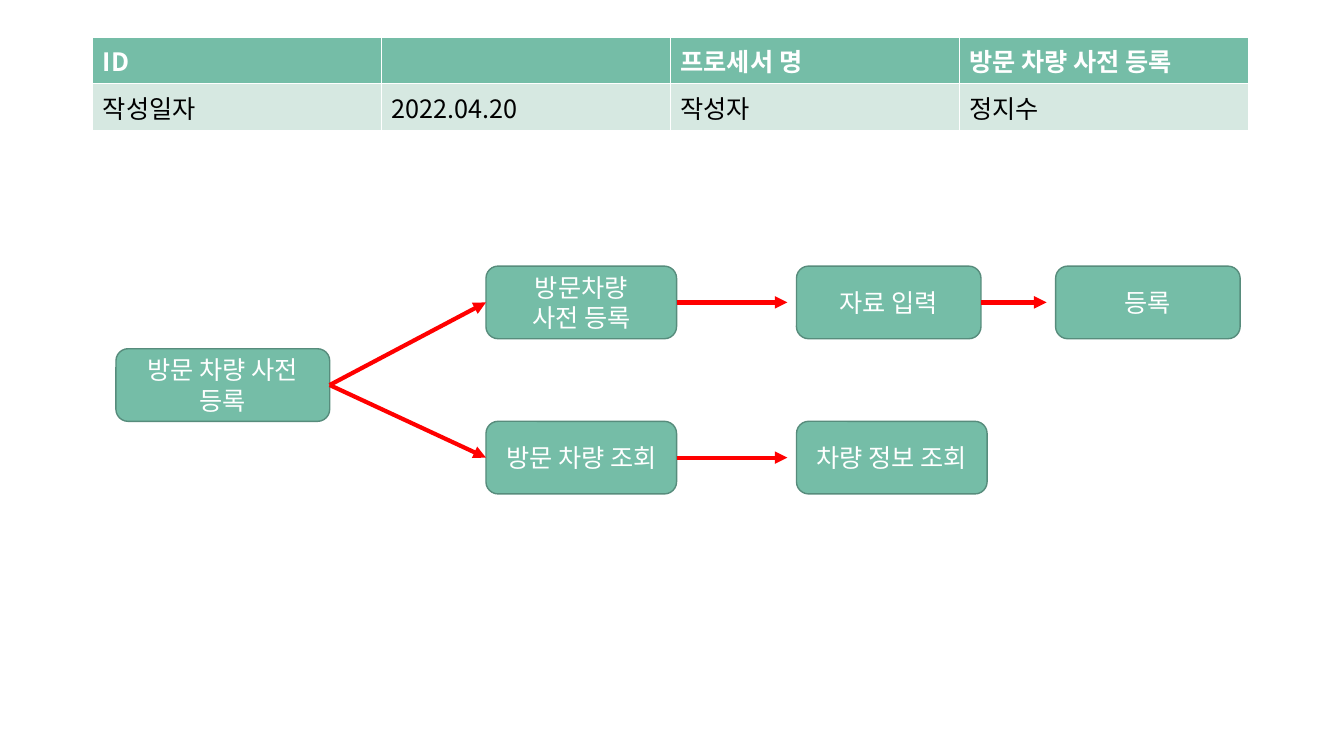
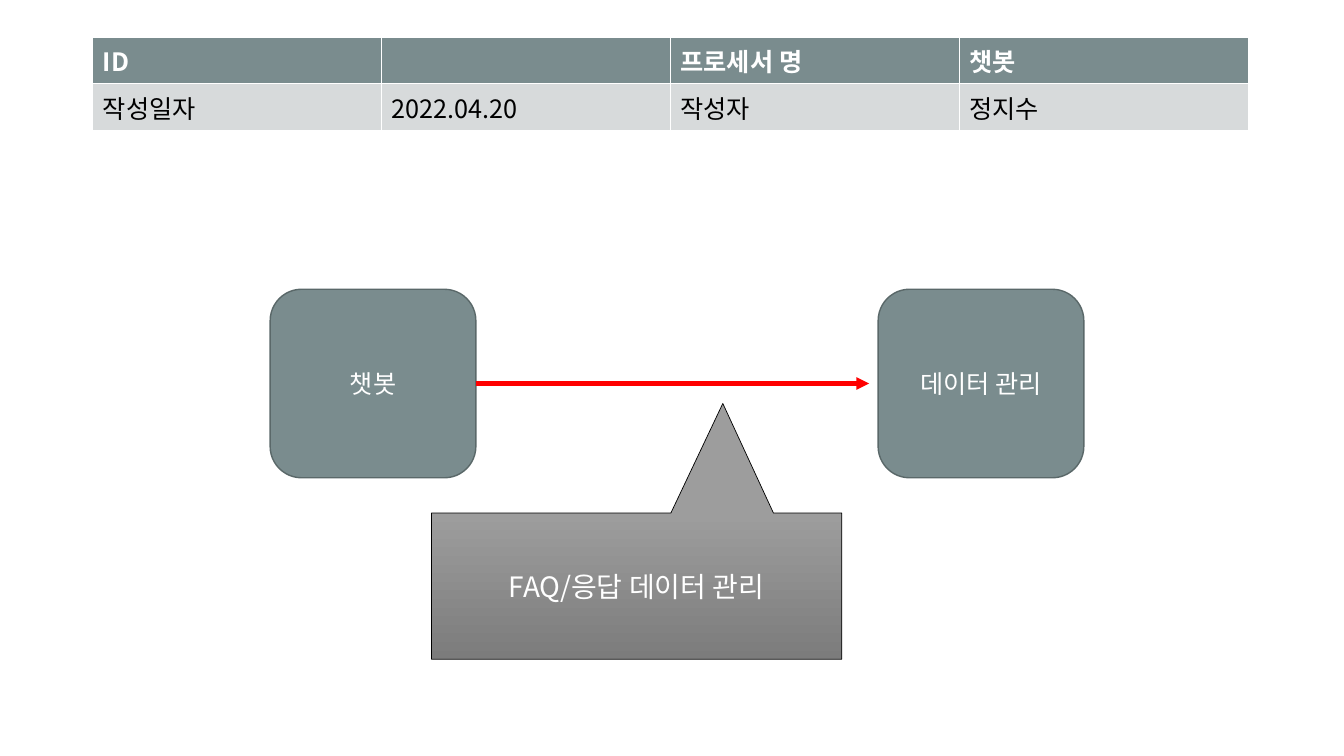
from lxml.etree import SubElement
from pptx import Presentation
from pptx.dml.color import RGBColor
from pptx.enum.shapes import MSO_CONNECTOR, MSO_SHAPE
from pptx.enum.text import MSO_ANCHOR, PP_ALIGN
from pptx.oxml.ns import qn
from pptx.util import Inches, Pt

FONT = "Noto Sans CJK KR"
WHITE = RGBColor(0xFF, 0xFF, 0xFF)
BLACK = RGBColor(0, 0, 0)
RED = RGBColor(0xFF, 0, 0)
LIGHT = RGBColor(0x9D, 0x9D, 0x9D)
DARK = RGBColor(0x7C, 0x7C, 0x7C)
# Per theme: main fill, outline, pale row
GREEN = [RGBColor.from_string(c) for c in ("75BDA7", "578C7C", "D6E8E1")]
SLATE = [RGBColor.from_string(c) for c in ("7A8C8E", "5A6869", "D7DADB")]

WIDE, HIGH = 13.33, 7.5
EDGE, TOP, ROW = 0.92, 0.37, 0.46
GAP = 0.09

# Boxes: name -> (text, column, row, width); arrows: (from, to, gap)
SLIDES = [
    {
        "title": "방문 차량 사전 등록", "theme": GREEN,
        "cols": [1.15, 4.82, 7.9, 10.47], "rows": [2.64, 3.46, 4.18],
        "high": 0.72,
        "boxes": {
            "start": ("방문 차량 사전 등록", 0, 1, 2.12),
            "book": ("방문차량\n사전 등록", 1, 0, 1.89),
            "view": ("방문 차량 조회", 1, 2, 1.89),
            "input": ("자료 입력", 2, 0, 1.83),
            "save": ("등록", 3, 0, 1.83),
            "info": ("차량 정보 조회", 2, 2, 1.89),
        },
        "arrows": [("start", "book", 0), ("start", "view", 0),
                   ("book", "input", GAP), ("input", "save", GAP),
                   ("view", "info", GAP)],
    },
    {
        "title": "챗봇", "theme": SLATE,
        "cols": [2.68, 8.71], "rows": [2.87], "high": 1.87,
        "boxes": {
            "bot": ("챗봇", 0, 0, 2.04),
            "data": ("데이터 관리", 1, 0, 2.04),
        },
        "arrows": [("bot", "data", GAP)],
        "note": ("FAQ/응답 데이터 관리", (4.28, 5.09, 4.07, 1.45)),
    },
]


def write(frame, text, size=18, color=WHITE, bold=False, align=PP_ALIGN.CENTER):
    frame.word_wrap = True
    for i, line in enumerate(text.split("\n")):
        para = frame.paragraphs[0] if i == 0 else frame.add_paragraph()
        para.alignment = align
        run = para.add_run()
        run.text = line
        font = run.font
        font.size, font.bold = Pt(size), bold
        font.color.rgb, font.name = color, FONT
        SubElement(run._r.get_or_add_rPr(), qn("a:ea"), typeface=FONT)


def frame_cell(cell):
    """Give a table cell thin white borders on all sides."""
    props = cell._tc.get_or_add_tcPr()
    for side in ("lnL", "lnR", "lnT", "lnB"):
        line = SubElement(props, qn("a:" + side), w=str(Pt(1)))
        fill = SubElement(line, qn("a:solidFill"))
        SubElement(fill, qn("a:srgbClr"), val=str(WHITE))


def add_head(slide, title, theme):
    data = [("ID", "", "프로세서 명", title),
            ("작성일자", "2022.04.20", "작성자", "정지수")]
    table = slide.shapes.add_table(
        2, 4, Inches(EDGE), Inches(TOP),
        Inches(WIDE - 2 * EDGE - 0.03), Inches(2 * ROW)).table
    for r, line in enumerate(data):
        for c, text in enumerate(line):
            cell = table.cell(r, c)
            frame_cell(cell)
            cell.fill.solid()
            cell.fill.fore_color.rgb = theme[2] if r else theme[0]
            write(cell.text_frame, text, color=BLACK if r else WHITE,
                  bold=r == 0, align=PP_ALIGN.LEFT)


def add_box(slide, kind, place, text, edge, width=1, size=18):
    box = slide.shapes.add_shape(kind, *map(Inches, place))
    box.shadow.inherit = False
    box.line.color.rgb, box.line.width = edge, Pt(width)
    box.text_frame.vertical_anchor = MSO_ANCHOR.MIDDLE
    write(box.text_frame, text, size=size)
    return box


def add_arrow(slide, start, end, gap):
    """Link two boxes from right side to left side, stopping short by gap."""
    line = slide.shapes.add_connector(
        MSO_CONNECTOR.STRAIGHT,
        start.left + start.width, start.top + start.height // 2,
        end.left - Inches(gap), end.top + end.height // 2)
    line.begin_connect(start, 3)
    if not gap:
        line.end_connect(end, 1)
    line.line.color.rgb, line.line.width = RED, Pt(3)
    SubElement(line.get_or_add_ln(), qn("a:tailEnd"), type="triangle")
    SubElement(line._element.spPr, qn("a:effectLst"))


def add_note(slide, text, place):
    note = add_box(slide, MSO_SHAPE.RECTANGULAR_CALLOUT, place, text,
                   BLACK, width=0.5, size=20)
    note.adjustments[0], note.adjustments[1] = 0.21, -1.25
    note.fill.gradient()
    note.fill.gradient_angle = 270
    for stop, color in zip(note.fill.gradient_stops, (LIGHT, DARK)):
        stop.color.rgb = color


def build(deck, page):
    slide = deck.slides.add_slide(deck.slide_layouts[6])
    theme = page["theme"]
    add_head(slide, page["title"], theme)
    boxes = {}
    for name, (text, col, row, wide) in page["boxes"].items():
        place = page["cols"][col], page["rows"][row], wide, page["high"]
        box = add_box(slide, MSO_SHAPE.ROUNDED_RECTANGLE, place, text, theme[1])
        box.fill.solid()
        box.fill.fore_color.rgb = theme[0]
        boxes[name] = box
    for start, end, gap in page["arrows"]:
        add_arrow(slide, boxes[start], boxes[end], gap)
    if "note" in page:
        add_note(slide, *page["note"])


def main():
    deck = Presentation()
    deck.slide_width, deck.slide_height = Inches(WIDE), Inches(HIGH)
    for page in SLIDES:
        build(deck, page)
    deck.save("out.pptx")


if __name__ == "__main__":
    main()
